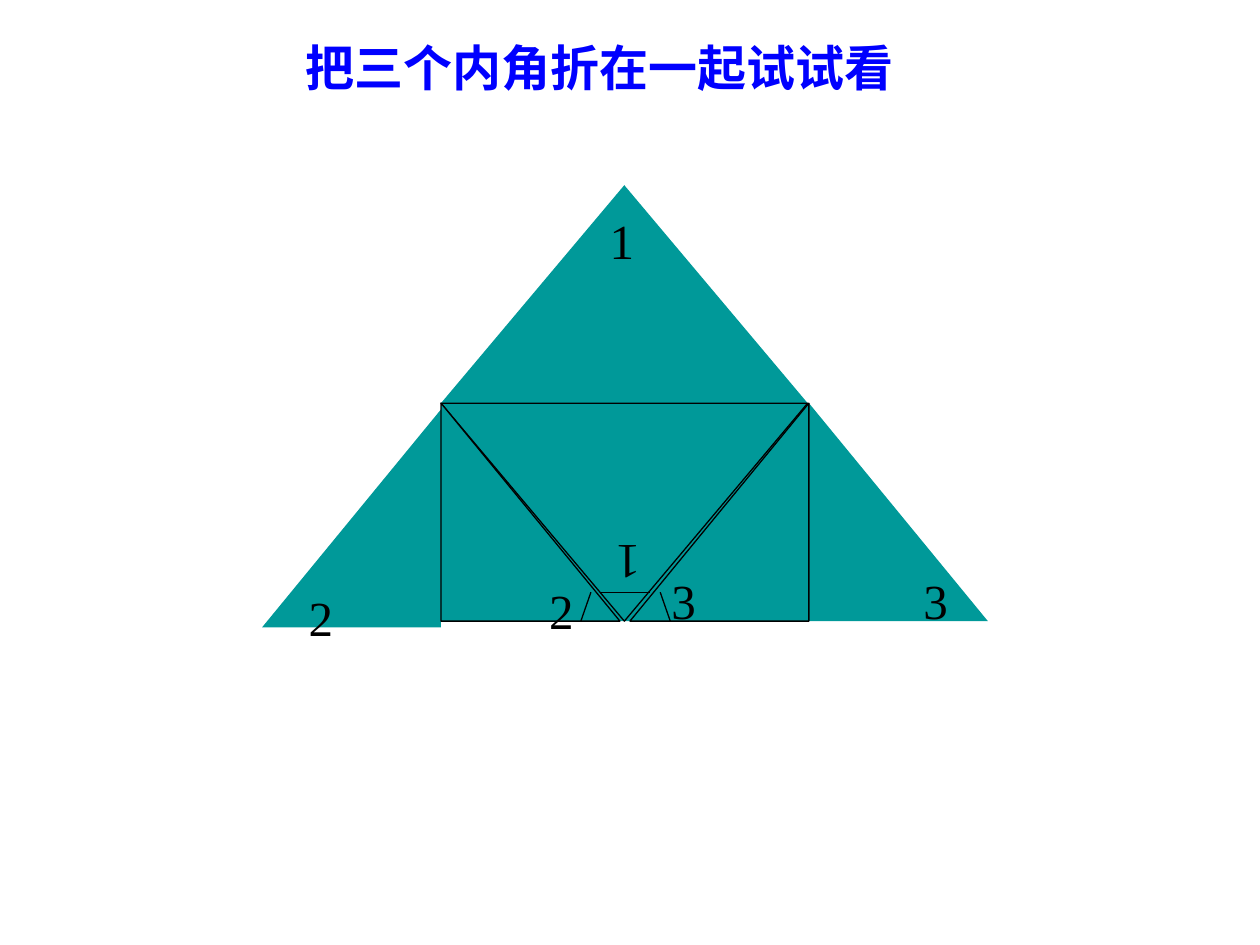
from pptx import Presentation
from pptx.dml.color import RGBColor
from pptx.enum.shapes import MSO_CONNECTOR, MSO_SHAPE
from pptx.enum.text import MSO_AUTO_SIZE
from pptx.oxml.ns import qn
from pptx.util import Inches, Pt
from lxml.etree import SubElement

TEAL = RGBColor(0x00, 0x99, 0x99)
BLACK = RGBColor(0x00, 0x00, 0x00)
BLUE = RGBColor(0x00, 0x00, 0xFF)

# Folding geometry: the fold line joins the midpoints of the two sides
LEFT, RIGHT, FOLD_TOP = 3.5, 6.42, 3.2
FULL_WIDTH, HALF_WIDTH, HEIGHT = 2.91, 1.42, 1.73
BASE = FOLD_TOP + HEIGHT
ARC_TOP = 4.7


class FoldingSlide:
    font_format = {"name": "Times New Roman", "size": Pt(28)}
    line_width = Pt(0.75)

    def __init__(self, presentation):
        self.slide = presentation.slides.add_slide(presentation.slide_layouts[6])

    def piece(self, kind, left, top, width, outlined=False, flipped=False, rotation=0):
        shape = self.slide.shapes.add_shape(
            kind, Inches(left), Inches(top), Inches(width), Inches(HEIGHT))
        shape.shadow.inherit = False
        shape.rotation = rotation
        shape.fill.solid()
        shape.fill.fore_color.rgb = TEAL
        if outlined:
            shape.line.color.rgb = BLACK
            shape.line.width = self.line_width
        else:
            shape.line.fill.background()
        if flipped:
            shape.element.spPr.find(qn("a:xfrm")).set("flipH", "1")

    def angle_mark(self, start, end):
        points = [Inches(value) for value in (*start, *end)]
        connector = self.slide.shapes.add_connector(MSO_CONNECTOR.STRAIGHT, *points)
        connector.line.color.rgb = BLACK
        connector.line.width = self.line_width
        SubElement(connector.element.spPr, qn("a:effectLst"))

    def text(self, content, left, top, width=0.39, color=BLACK, bold=False,
             wrap=False, rotation=0):
        box = self.slide.shapes.add_textbox(
            Inches(left), Inches(top), Inches(width), Inches(0.57))
        box.rotation = rotation
        frame = box.text_frame
        frame.word_wrap = wrap
        frame.auto_size = MSO_AUTO_SIZE.SHAPE_TO_FIT_TEXT
        paragraph = frame.paragraphs[0]
        paragraph.space_before = Pt(17.5)
        run = paragraph.add_run()
        run.text = content
        for name, value in {**self.font_format, "bold": bold}.items():
            setattr(run.font, name, value)
        run.font.color.rgb = color


def main():
    presentation = Presentation()
    presentation.slide_width = Inches(10)
    presentation.slide_height = Inches(7.5)
    page = FoldingSlide(presentation)
    triangle, right_triangle = MSO_SHAPE.ISOSCELES_TRIANGLE, MSO_SHAPE.RIGHT_TRIANGLE

    # Middle of the paper and the top corner, unfolded and folded down
    page.piece(MSO_SHAPE.RECTANGLE, LEFT, FOLD_TOP, FULL_WIDTH)
    page.piece(triangle, LEFT, FOLD_TOP - HEIGHT, FULL_WIDTH)
    page.text("1", 4.74, 1.62)
    page.piece(triangle, LEFT, FOLD_TOP, FULL_WIDTH, outlined=True, rotation=180)
    page.angle_mark((5.16, ARC_TOP), (4.76, ARC_TOP))
    page.text("1", 4.79, 4.2, rotation=180)

    # Left corner, unfolded and folded in
    page.piece(right_triangle, LEFT - HALF_WIDTH, 3.25, HALF_WIDTH, flipped=True)
    page.text("2", 2.35, 4.61)
    page.piece(right_triangle, LEFT, FOLD_TOP, HALF_WIDTH, outlined=True)
    page.angle_mark((4.69, ARC_TOP), (4.61, BASE))
    page.text("2", 4.26, 4.56)

    # Right corner, unfolded and folded in
    page.piece(right_triangle, RIGHT, FOLD_TOP, HALF_WIDTH)
    page.text("3", 7.23, 4.48)
    page.piece(right_triangle, RIGHT - HALF_WIDTH, FOLD_TOP, HALF_WIDTH,
               outlined=True, flipped=True)
    page.angle_mark((5.24, ARC_TOP), (5.32, BASE))
    page.text("3", 5.23, 4.48)

    # Title
    page.text("把三个内角折在一起试试看", 2.33, 0.25, width=5.67, color=BLUE,
              bold=True, wrap=True)

    presentation.save("out.pptx")


if __name__ == "__main__":
    main()
